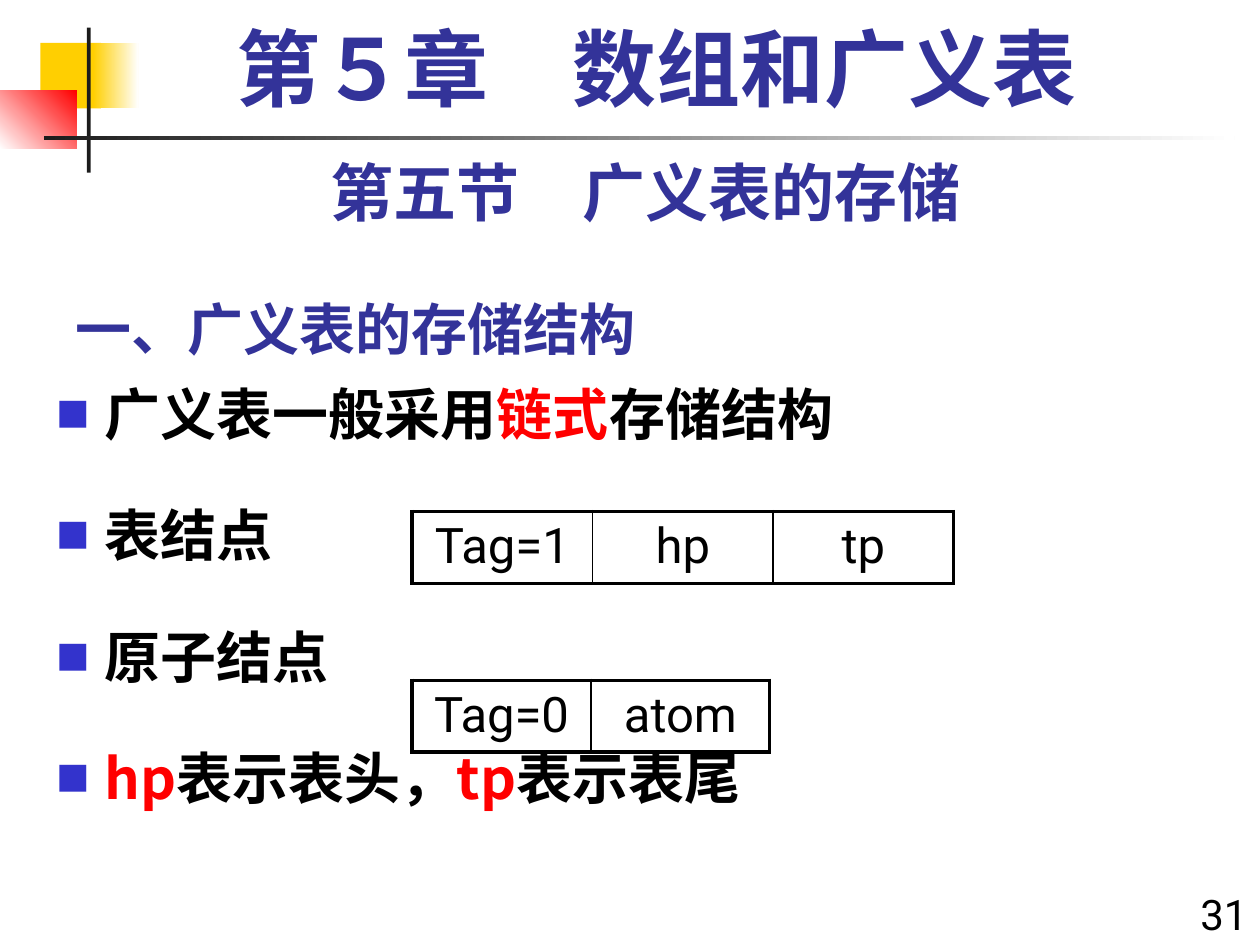
from dataclasses import dataclass
import lxml.etree
import pptx
import pptx.dml.color
import pptx.enum.shapes
import pptx.enum.text
import pptx.oxml.ns
import pptx.util

Inches = pptx.util.Inches
Pt = pptx.util.Pt
Align = pptx.enum.text.PP_ALIGN
Anchor = pptx.enum.text.MSO_ANCHOR
qn = pptx.oxml.ns.qn

BLUE, RED, BLACK, WHITE = "333399", "FF0000", "000000", "FFFFFF"
GOLD, DARK = "FFCF01", "1C1C1C"
HAN, SANS, SERIF = "Noto Sans CJK SC", "Roboto", "Times New Roman"


@dataclass
class Block:
    """A decorative rectangle; a second colour makes a gradient."""
    box: tuple
    color: str
    end: str = ""
    angle: int = 0


@dataclass
class Label:
    """A line of text in its own box."""
    box: tuple
    text: str
    size: int
    font: str
    color: str = BLUE
    bold: bool = True
    align: Align = Align.CENTER
    anchor: Anchor = Anchor.TOP
    lead: float = 1.0


@dataclass
class Node:
    """A list node drawn as a one-row table."""
    top: float
    width: float
    cells: tuple


BLOCKS = [
    Block((0.32, 0.34, 0.48, 0.52), GOLD),
    Block((0.74, 0.34, 0.36, 0.52), GOLD, WHITE),
    Block((0, 0.72, 0.61, 0.46), WHITE, RED, 45),
    Block((0.69, 0.22, 0.03, 1.15), DARK),
    Block((0.35, 1.08, 9.45, 0.03), DARK, WHITE),
]
LABELS = [
    Label((0.5, 2.17, 6.25, 0.75), "一、广义表的存储结构", 32, HAN,
          align=Align.LEFT, anchor=Anchor.BOTTOM),
    Label((9.33, 7, 0.67, 0.5), "31", 24, SANS, BLACK, False, Align.RIGHT),
    Label((0.5, 1.17, 9.25, 0.7), "第五节　广义表的存储", 36, SANS),
    Label((0.67, 0.17, 9.08, 0.83), "第５章　数组和广义表", 48, SERIF, lead=0.9),
]
POINTS = [
    [("广义表一般采用", BLACK), ("链式", RED), ("存储结构", BLACK)],
    [("表结点", BLACK)],
    [("原子结点", BLACK)],
    [("hp", RED), ("表示表头，", BLACK), ("tp", RED), ("表示表尾", BLACK)],
]
NODES = [
    Node(4.06, 4.3, ("Tag=1", "hp", "tp")),
    Node(5.4, 2.84, ("Tag=0", "atom")),
]


def rgb(code: str) -> pptx.dml.color.RGBColor:
    """Turn a hex string into a colour."""
    return pptx.dml.color.RGBColor.from_string(code)


def place(box: tuple) -> list:
    """Turn left, top, width and height into lengths."""
    return [Inches(n) for n in box]


def style(para, size: int, name: str, color: str, bold: bool = False) -> None:
    """Set the font of a whole paragraph, Han text included."""
    font = para.font
    font.size, font.name, font.bold = Pt(size), name, bold
    font.color.rgb = rgb(color)
    base = para._p.pPr.find(qn("a:defRPr"))
    han = lxml.etree.SubElement(base, qn("a:ea"))
    han.set("typeface", HAN)


def add_block(slide, block: Block) -> None:
    """Draw one decorative rectangle."""
    kind = pptx.enum.shapes.MSO_SHAPE.RECTANGLE
    shape = slide.shapes.add_shape(kind, *place(block.box))
    shape.shadow.inherit = False
    shape.line.fill.background()
    if not block.end:
        shape.fill.solid()
        shape.fill.fore_color.rgb = rgb(block.color)
        return
    shape.fill.gradient()
    shape.fill.gradient_angle = block.angle
    for stop, color in zip(shape.fill.gradient_stops, (block.color, block.end)):
        stop.color.rgb = rgb(color)


def add_label(slide, label: Label) -> None:
    """Write one line of text."""
    frame = slide.shapes.add_textbox(*place(label.box)).text_frame
    frame.word_wrap = True
    frame.vertical_anchor = label.anchor
    para = frame.paragraphs[0]
    para.text = label.text
    para.alignment = label.align
    para.line_spacing = label.lead
    style(para, label.size, label.font, label.color, label.bold)


def add_mark(para) -> None:
    """Give a paragraph a small square bullet."""
    props = para._p.get_or_add_pPr()
    props.set("marL", str(Inches(0.38)))
    props.set("indent", str(-Inches(0.38)))
    marks = []
    tint = lxml.etree.Element(qn("a:buClr"))
    lxml.etree.SubElement(tint, qn("a:srgbClr")).set("val", "3333CC")
    marks.append(tint)
    for tag, key, value in (("a:buSzPct", "val", "60000"),
                            ("a:buFont", "typeface", HAN),
                            ("a:buChar", "char", "■")):
        mark = lxml.etree.Element(qn(tag))
        mark.set(key, value)
        marks.append(mark)
    base = props.find(qn("a:defRPr"))
    for mark in marks:
        base.addprevious(mark)


def add_points(slide, points: list) -> None:
    """Write the bulleted list."""
    frame = slide.shapes.add_textbox(*place((0.35, 2.96, 9.65, 4.54))).text_frame
    frame.word_wrap = True
    for i, parts in enumerate(points):
        para = frame.add_paragraph() if i else frame.paragraphs[0]
        para.space_after = Pt(31)
        style(para, 32, HAN, BLACK, True)
        add_mark(para)
        for text, color in parts:
            run = para.add_run()
            run.text = text
            if color != BLACK:
                run.font.color.rgb = rgb(color)


def add_edges(cell, first: bool, last: bool) -> None:
    """Rule a cell, thick on the outside and thin between cells."""
    props = cell._tc.get_or_add_tcPr()
    widths = {"L": 2.25 if first else 1, "R": 2.25 if last else 1,
              "T": 2.25, "B": 2.25}
    for i, (side, width) in enumerate(widths.items()):
        edge = lxml.etree.Element(qn("a:ln" + side))
        edge.set("w", str(Pt(width)))
        fill = lxml.etree.SubElement(edge, qn("a:solidFill"))
        lxml.etree.SubElement(fill, qn("a:srgbClr")).set("val", BLACK)
        props.insert(i, edge)


def add_node(slide, node: Node) -> None:
    """Draw one list node."""
    count = len(node.cells)
    box = place((3.27, node.top, node.width, 0.57))
    table = slide.shapes.add_table(1, count, *box).table
    table.first_row = table.horz_banding = False
    for i, text in enumerate(node.cells):
        cell = table.cell(0, i)
        cell.fill.background()
        add_edges(cell, i == 0, i == count - 1)
        para = cell.text_frame.paragraphs[0]
        para.text = text
        para.alignment = Align.CENTER
        style(para, 28, SANS, BLACK)


def main() -> None:
    """Build and save the slide."""
    deck = pptx.Presentation()
    deck.slide_width, deck.slide_height = Inches(10), Inches(7.5)
    slide = deck.slides.add_slide(deck.slide_layouts[6])
    for block in BLOCKS:
        add_block(slide, block)
    for label in LABELS:
        add_label(slide, label)
    add_points(slide, POINTS)
    for node in NODES:
        add_node(slide, node)
    deck.save("out.pptx")


main()
